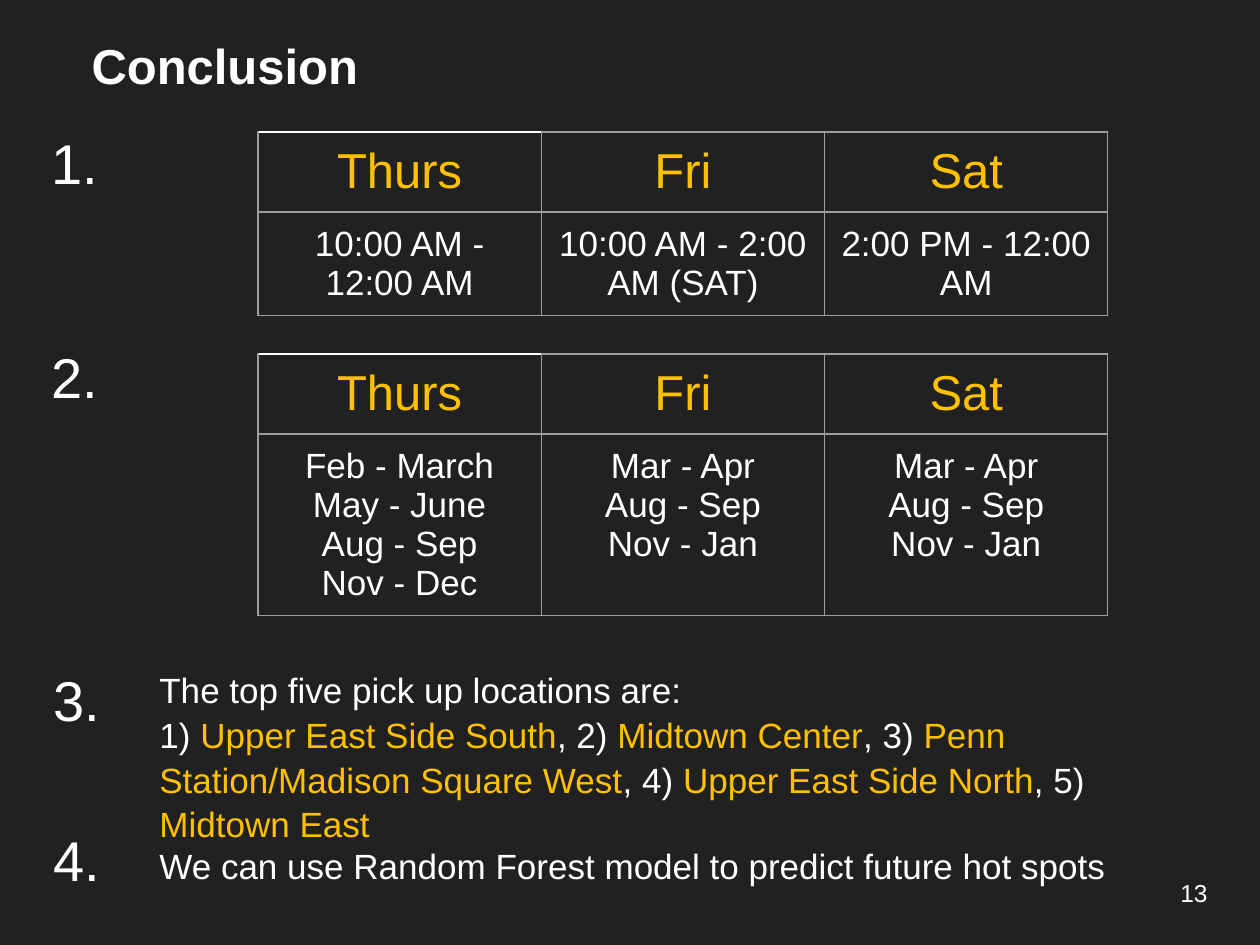
from lxml.etree import SubElement
from pptx import Presentation
from pptx.dml.color import RGBColor
from pptx.enum.text import MSO_ANCHOR, MSO_AUTO_SIZE, PP_ALIGN
from pptx.oxml.ns import qn
from pptx.util import Emu, Pt

EMU_PER_PX = 914400 / 126
COLORS = {"background": "212121", "text": "FFFFFF", "accent": "FFC000", "border": "9E9E9E"}
TITLE = {"size": Pt(28), "bold": True}
HEADER = {"size": Pt(28), "bold": False}
BODY = {"size": Pt(20), "bold": False}
NUMBER = {"size": Pt(32), "bold": False}
PAGE = {"size": Pt(14), "bold": False}
DAYS = ["Thurs", "Fri", "Sat"]
HOURS = [["10:00 AM - 12:00 AM"], ["10:00 AM - 2:00 AM (SAT)"], ["2:00 PM - 12:00 AM"]]
MONTHS = [
    ["Feb - March", "May - June", "Aug - Sep", "Nov - Dec"],
    ["Mar - Apr", "Aug - Sep", "Nov - Jan"],
    ["Mar - Apr", "Aug - Sep", "Nov - Jan"],
]
LOCATIONS = [
    "Upper East Side South",
    "Midtown Center",
    "Penn Station/Madison Square West",
    "Upper East Side North",
    "Midtown East",
]


def px(length):
    return Emu(round(length * EMU_PER_PX))


def rgb(color):
    return RGBColor.from_string(COLORS[color])


def add_run(paragraph, text, style, color="text"):
    run = paragraph.add_run()
    run.text = text
    for name, value in style.items():
        setattr(run.font, name, value)
    run.font.name = "Arial"
    run.font.color.rgb = rgb(color)


def next_paragraph(frame, index):
    return frame.paragraphs[0] if index == 0 else frame.add_paragraph()


def add_text(slide, box, lines, style, line_spacing=None, anchor=MSO_ANCHOR.TOP):
    frame = slide.shapes.add_textbox(*map(px, box)).text_frame
    frame.word_wrap = True
    frame.vertical_anchor = anchor
    for index, runs in enumerate(lines):
        paragraph = next_paragraph(frame, index)
        paragraph.line_spacing = line_spacing
        for text, color in runs:
            add_run(paragraph, text, style, color)


def add_title(slide, box, text):
    title = slide.shapes.title
    title.left, title.top, title.width, title.height = map(px, box)
    frame = title.text_frame
    frame.auto_size = MSO_AUTO_SIZE.NONE
    frame.vertical_anchor = MSO_ANCHOR.TOP
    paragraph = frame.paragraphs[0]
    paragraph.alignment = PP_ALIGN.LEFT
    add_run(paragraph, text, TITLE)


def set_borders(cell, top_color):
    properties = cell._tc.get_or_add_tcPr()
    for index, side in enumerate(["lnL", "lnR", "lnT", "lnB"]):
        line = SubElement(properties, qn(f"a:{side}"), w=str(Pt(0.75)))
        fill = SubElement(line, qn("a:solidFill"))
        color = top_color if side == "lnT" else "border"
        SubElement(fill, qn("a:srgbClr"), val=COLORS[color])
        properties.remove(line)
        properties.insert(index, line)


def fill_cell(cell, lines, style, color, top_color):
    cell.fill.background()
    for side in ["left", "top", "right", "bottom"]:
        setattr(cell, f"margin_{side}", Pt(7.2))
    for index, text in enumerate(lines):
        paragraph = next_paragraph(cell.text_frame, index)
        paragraph.alignment = PP_ALIGN.CENTER
        add_run(paragraph, text, style, color)
    set_borders(cell, top_color)


def add_day_table(slide, left, top, width, row_heights, details):
    table = slide.shapes.add_table(
        2, len(DAYS), px(left), px(top), px(width), px(sum(row_heights))
    ).table
    table.first_row = table.horz_banding = False
    for row, height in zip(table.rows, row_heights):
        row.height = px(height)
    for column, (day, lines) in enumerate(zip(DAYS, details)):
        top_color = "text" if column == 0 else "border"
        fill_cell(table.cell(0, column), [day], HEADER, "accent", top_color)
        fill_cell(table.cell(1, column), lines, BODY, "text", "border")


def location_runs():
    runs = []
    for number, location in enumerate(LOCATIONS, 1):
        runs.append((f"{', ' if number > 1 else ''}{number}) ", "text"))
        runs.append((location, "accent"))
    return runs


def add_conclusion_slide(presentation):
    slide = presentation.slides.add_slide(presentation.slide_layouts[5])
    slide.background.fill.solid()
    slide.background.fill.fore_color.rgb = rgb("background")
    add_title(slide, (79, 29, 1092, 72), "Conclusion")
    add_day_table(slide, 258, 132, 850, [80, 103], HOURS)
    add_day_table(slide, 258, 354, 850, [80, 181], MONTHS)
    for number, (left, top) in enumerate([(39, 122), (39, 336), (41, 659), (41, 819)], 1):
        add_text(slide, (left, top, 104, 81), [[(f"{number}.", "text")]], NUMBER)
    locations = [[("The top five pick up locations are:", "text")], location_runs()]
    add_text(slide, (147, 659, 963, 183), locations, BODY, line_spacing=1.07)
    forecast = "We can use Random Forest model to predict future hot spots"
    add_text(slide, (147, 838, 1021, 55), [[(forecast, "text")]], BODY)
    add_text(slide, (1168, 857, 76, 72), [[("13", "text")]], PAGE, anchor=MSO_ANCHOR.MIDDLE)


def main():
    presentation = Presentation()
    presentation.slide_width, presentation.slide_height = px(1260), px(945)
    add_conclusion_slide(presentation)
    presentation.save("out.pptx")


if __name__ == "__main__":
    main()
